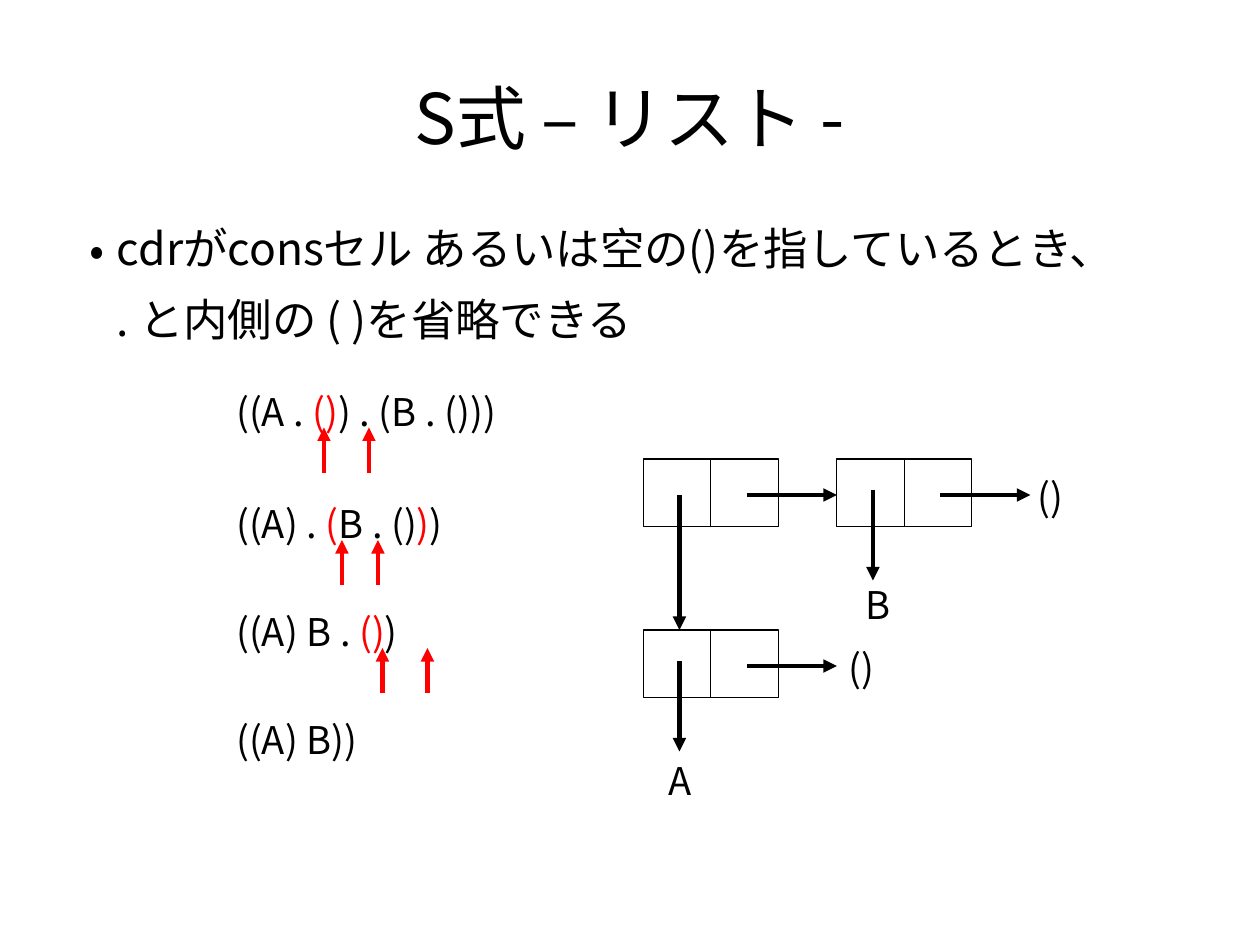
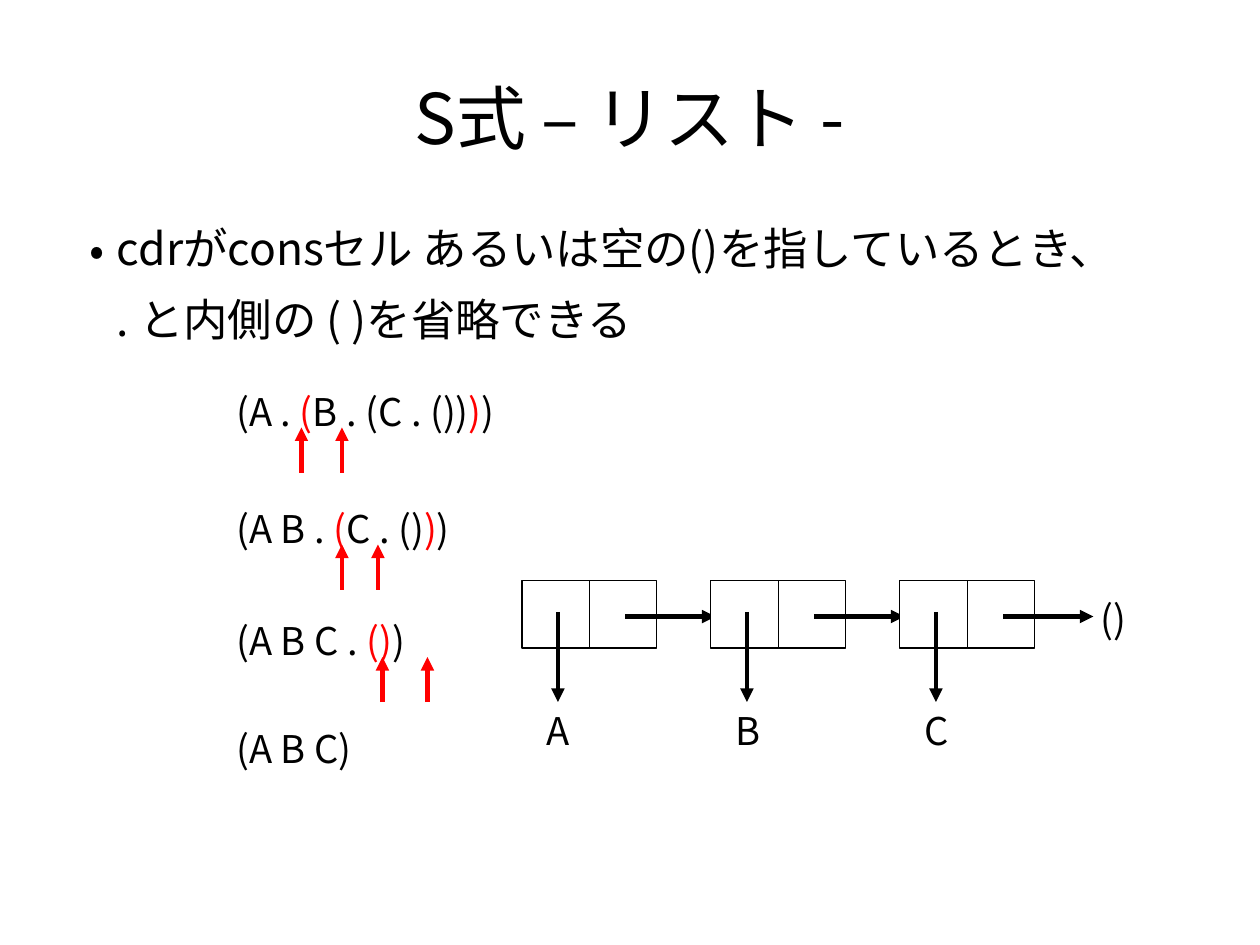
from pptx import Presentation
from pptx.util import Pt
from pptx.dml.color import RGBColor
from pptx.enum import shapes, text
from pptx.oxml.ns import qn
from lxml import etree

HUES = {"ink": "000000", "red": "FF0000", "paper": "FFFFFF"}
FACE = "Noto Sans CJK JP"
WIDE, HIGH = 793.75, 595.25

TITLE = "S式 – リスト -"
BODY = [("•", "cdrがconsセル あるいは空の()を指しているとき、"),
        ("", ". と内側の ( )を省略できる")]

SLIDES = [
    {
        "steps": [
            (240.94, 266.4, ["((A . ", "()", ") . (B . ()))"], (204.09, 232.44)),
            (311.81, 205.9, ["((A) . ", "(", "B . ()", ")", ")"], (215.43, 238.11)),
            (379.84, 158.4, ["((A) B . ", "()", ")"], (240.94, 269.29)),
            (447.87, 110.2, ["((A) B))"], ()),
        ],
        "cells": [
            {"at": (405.35, 289.13), "drop": (22.68, 85.04)},
            {"at": (405.35, 396.85), "car": ("A", 8.5, 76.54), "nil": 121.89},
            {"at": (527.24, 289.13), "car": ("B", 10.8, 73.7), "nil": 119.06},
        ],
    },
    {
        "steps": [
            (240.94, 254.2, ["(A . ", "(", "B . (C . ())", ")", ")"], (189.92, 215.43)),
            (314.65, 205.9, ["(A B . ", "(", "C . ()", ")", ")"], (215.43, 238.11)),
            (385.51, 158.4, ["(A B C . ", "()", ")"], (240.94, 269.29)),
            (453.54, 97.9, ["(A B C)"], ()),
        ],
        "cells": [
            {"at": (328.82 + 119.06 * i, 365.67), "car": (name, 8.5, 76.54),
             "nil": 119.06 if name == "C" else None}
            for i, name in enumerate("ABC")
        ],
    },
]

STEP_X, MARK = 141.73, 28.35
BOX, LINK = 42.52, 56.69
CAR_X, CDR = 22.68, (65.2, 22.68)
DROP = (19.84, LINK)
PAD = (7.2, 3.6)


def rgb(name):
    return RGBColor.from_string(HUES[name])


def add_run(para, words, size, hue):
    run = para.add_run()
    run.text = words
    for key, val in {"size": Pt(size), "name": FACE}.items():
        setattr(run.font, key, val)
    run.font.color.rgb = rgb(hue)
    props = run._r.get_or_add_rPr()
    etree.SubElement(props, qn("a:ea")).set("typeface", FACE)


def add_box(slide, x, y, w, h, pad=(0, 0), anchor=text.MSO_ANCHOR.TOP):
    frame = slide.shapes.add_textbox(Pt(x), Pt(y), Pt(w), Pt(h)).text_frame
    form = {"word_wrap": True, "vertical_anchor": anchor,
            "margin_left": Pt(pad[0]), "margin_right": Pt(pad[0]),
            "margin_top": Pt(pad[1]), "margin_bottom": Pt(pad[1])}
    for key, val in form.items():
        setattr(frame, key, val)
    return frame


def add_label(slide, x, y, w, parts):
    para = add_box(slide, x, y, w, 39.6, PAD).paragraphs[0]
    for i, part in enumerate(parts):
        add_run(para, part, 24, "red" if i % 2 else "ink")


def add_arrow(slide, x, y, dx, dy, hue):
    line = slide.shapes.add_connector(
        shapes.MSO_CONNECTOR.STRAIGHT, Pt(x), Pt(y), Pt(x + dx), Pt(y + dy))
    line.line.color.rgb = rgb(hue)
    line.line.width = Pt(2.83)
    etree.SubElement(line.line._get_or_add_ln(), qn("a:tailEnd")).set("type", "triangle")
    etree.SubElement(line._element.spPr, qn("a:effectLst"))


def add_frame(slide):
    para = add_box(slide, 39.6, 27.4, 714.2, 92.2,
                   anchor=text.MSO_ANCHOR.MIDDLE).paragraphs[0]
    para.alignment = text.PP_ALIGN.CENTER
    add_run(para, TITLE, 44, "ink")
    frame = add_box(slide, 39.7, 139, 714.2, 393.1)
    for i, (mark, words) in enumerate(BODY):
        para = frame.add_paragraph() if i else frame.paragraphs[0]
        para.space_after = Pt(11.3)
        props = para._p.get_or_add_pPr()
        props.set("marL", str(Pt(34)))
        props.set("indent", str(Pt(-17 if mark else 0)))
        if mark:
            etree.SubElement(props, qn("a:buFont")).set("typeface", FACE)
            etree.SubElement(props, qn("a:buChar")).set("char", mark)
        else:
            etree.SubElement(props, qn("a:buNone"))
        add_run(para, words, 28, "ink")


def add_cell(slide, at, car=None, nil=None, drop=DROP):
    x, y = at
    for i in range(2):
        box = slide.shapes.add_shape(shapes.MSO_SHAPE.RECTANGLE,
                                     Pt(x + i * BOX), Pt(y), Pt(BOX), Pt(BOX))
        box.shadow.inherit = False
        box.fill.solid()
        box.fill.fore_color.rgb = rgb("paper")
        box.line.color.rgb = rgb("ink")
        box.line.width = Pt(0)
    add_arrow(slide, x + CAR_X, y + drop[0], 0, drop[1], "ink")
    add_arrow(slide, x + CDR[0], y + CDR[1], LINK, 0, "ink")
    if car:
        name, dx, dy = car
        add_label(slide, x + dx, y + dy, 31, [name])
    if nil:
        add_label(slide, x + nil, y + 5.67, 38.2, ["()"])


def main():
    deck = Presentation()
    deck.slide_width = Pt(WIDE)
    deck.slide_height = Pt(HIGH)
    for page in SLIDES:
        slide = deck.slides.add_slide(deck.slide_layouts[6])
        add_frame(slide)
        for y, w, parts, marks in page["steps"]:
            add_label(slide, STEP_X, y, w, parts)
            for x in marks:
                add_arrow(slide, x, y + 2 * MARK, 0, -MARK, "red")
        for cell in page["cells"]:
            add_cell(slide, **cell)
    deck.save("out.pptx")


if __name__ == "__main__":
    main()
